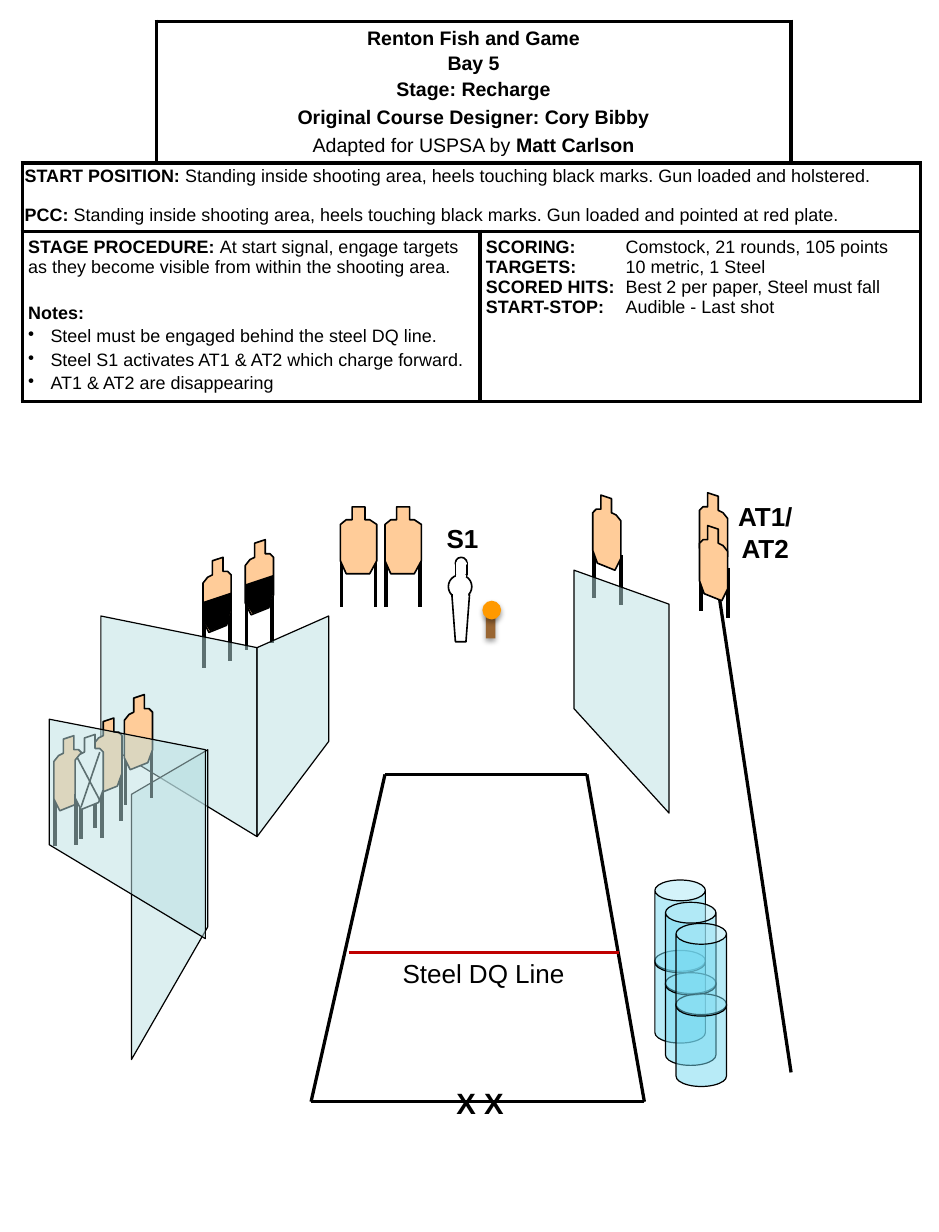
from lxml.etree import SubElement
from pptx import Presentation
from pptx.dml.color import RGBColor
from pptx.enum.shapes import MSO_CONNECTOR, MSO_SHAPE
from pptx.enum.text import MSO_ANCHOR, PP_ALIGN
from pptx.oxml import parse_xml
from pptx.oxml.ns import nsdecls, qn
from pptx.util import Pt

PX = 9144
BLACK = RGBColor(0x00, 0x00, 0x00)
WHITE = RGBColor(0xFF, 0xFF, 0xFF)
CARDBOARD = RGBColor(0xFF, 0xCC, 0x99)
WALL = RGBColor(0xBB, 0xE0, 0xE3)
BARREL = RGBColor(0x73, 0xD9, 0xF1)
RED = RGBColor(0xC0, 0x00, 0x00)
BROWN = RGBColor(0x99, 0x66, 0x33)
ORANGE = RGBColor(0xFF, 0x99, 0x00)

ANGLED = [(8, 3), (17, 0), (17, 12), (21, 12), (24, 15), (24, 47),
          (20, 58), (5, 64), (0, 54), (0, 22), (4, 17), (8, 15)]
HARD_COVER = [(0, 54), (6, 63), (20, 58), (24, 45), (24, 30), (0, 38)]
FACING = [(10, 0), (21, 0), (21, 11), (25, 11), (31, 15), (31, 46),
          (25, 57), (5, 57), (0, 46), (0, 15), (5, 11), (10, 11)]
MIRRORED = [(24 - x, y) for x, y in ANGLED]
ANGLED_POSTS = [(1, 51), (23, 45)]
MIRRORED_POSTS = [(24, 51), (1, 45)]
FACING_POSTS = [(1, 42), (30, 42)]

HEADER = [
    (0, [("Renton Fish and Game", True)]),
    (2.2, [("Bay 5", True)]),
    (2.2, [("Stage: Recharge", True)]),
    (4, [("Original Course Designer: Cory Bibby", True)]),
    (4, [("Adapted for USPSA by", False), (" Matt Carlson", True)]),
]
START = [
    (0, [("START POSITION:", True),
         (" Standing inside shooting area, heels touching black marks. Gun loaded and holstered.", False)]),
    (13, [("PCC:", True),
          (" Standing inside shooting area, heels touching black marks. Gun loaded and pointed at red plate.", False)]),
]
PROCEDURE = [
    (0, [("STAGE PROCEDURE: ", True),
         ("At start signal, engage targets as they become visible from within the shooting area.", False)]),
    (16, [("Notes:", True)]),
]
NOTES = [(2.2, [(note, False)]) for note in (
    "Steel must be engaged behind the steel DQ line.",
    "Steel S1 activates AT1 & AT2 which charge forward.",
    "AT1 & AT2 are disappearing")]
SCORING = [(0, [(label, True), ("\t" + value, False)]) for label, value in (
    ("SCORING:", "Comstock, 21 rounds, 105 points"),
    ("TARGETS:", "10 metric, 1 Steel"),
    ("SCORED HITS:", "Best 2 per paper, Steel must fall"),
    ("START-STOP:", "Audible - Last shot"))]


def style_shape(shape, fill, line=BLACK, width=1, alpha=None):
    """Set the fill, outline and opacity of a shape."""
    shape.shadow.inherit = False
    shape.fill.solid()
    shape.fill.fore_color.rgb = fill
    if alpha:
        color = shape.fill._xPr.find(qn("a:solidFill"))[0]
        SubElement(color, qn("a:alpha"), val=str(alpha * 1000))
    if line is None:
        shape.line.fill.background()
    else:
        shape.line.color.rgb = line
        shape.line.width = Pt(width)


def add_preset(slide, kind, box, fill, line=BLACK, width=1, alpha=None):
    """Add a preset shape in a box of left, top, width, height."""
    shape = slide.shapes.add_shape(kind, *(value * PX for value in box))
    style_shape(shape, fill, line, width, alpha)
    return shape


def add_outline(slide, left, top, points, fill, line=BLACK, width=1, alpha=None):
    """Add a closed polygon whose points are relative to left and top."""
    points = [(left + x, top + y) for x, y in points]
    builder = slide.shapes.build_freeform(*points[0], scale=PX)
    builder.add_line_segments(points[1:], close=True)
    style_shape(builder.convert_to_shape(), fill, line, width, alpha)


def add_line(slide, start, end, width=2, color=BLACK):
    """Add a straight line."""
    connector = slide.shapes.add_connector(
        MSO_CONNECTOR.STRAIGHT, *(value * PX for value in (*start, *end)))
    connector.line.color.rgb = color
    connector.line.width = Pt(width)
    SubElement(connector._element.spPr, qn("a:effectLst"))


def add_label(slide, box, text, size=16, bold=True, align=PP_ALIGN.CENTER):
    """Add a one-paragraph label."""
    frame = slide.shapes.add_textbox(*(value * PX for value in box)).text_frame
    frame.word_wrap = True
    paragraph = frame.paragraphs[0]
    paragraph.text = text
    paragraph.alignment = align
    format_font(paragraph.font, size)
    paragraph.font.bold = bold


def format_font(font, size):
    """Apply the sheet's typeface, size and colour."""
    font.name = "Arial"
    font.size = Pt(size)
    font.color.rgb = BLACK


def write_cell(cell, lines, size=11, margins=(5, 5), align=PP_ALIGN.LEFT,
               spacing=None, tab=None, bullets=()):
    """Fill a table cell with spaced paragraphs of bold and plain runs."""
    cell.margin_left = cell.margin_right = margins[0] * PX
    cell.margin_top = cell.margin_bottom = margins[1] * PX
    frame = cell.text_frame
    for index, (space, runs) in enumerate([*lines, *bullets]):
        paragraph = frame.add_paragraph() if index else frame.paragraphs[0]
        properties = paragraph._p.get_or_add_pPr()
        if index >= len(lines):
            properties.set("marL", str(19 * PX))
            properties.set("indent", str(-19 * PX))
            SubElement(properties, qn("a:buChar"), char="•")
        if tab:
            tabs = SubElement(properties, qn("a:tabLst"))
            SubElement(tabs, qn("a:tab"), pos=str(tab * PX), algn="l")
        paragraph.alignment = align
        paragraph.space_before = Pt(space)
        if spacing:
            paragraph.line_spacing = spacing
        format_font(paragraph.font, size)
        for text, bold in runs:
            run = paragraph.add_run()
            run.text = text
            run.font.bold = bold


def set_borders(cell, sides):
    """Draw the named sides of a cell and clear the others."""
    properties = cell._tc.get_or_add_tcPr()
    for index, side in enumerate("LRTB"):
        fill = '<a:solidFill><a:srgbClr val="000000"/></a:solidFill>' if side in sides else "<a:noFill/>"
        properties.insert(index, parse_xml(
            f'<a:ln{side} {nsdecls("a")} w="28575">{fill}</a:ln{side}>'))


def draw_stage_sheet(slide, left, top):
    """Draw the table of stage details."""
    columns, rows = (114, 276, 265, 110), (121, 58, 145)
    table = slide.shapes.add_table(
        len(rows), len(columns), left * PX, top * PX, sum(columns) * PX, sum(rows) * PX).table
    table.first_row = table.horz_banding = False
    for column, width in zip(table.columns, columns):
        column.width = width * PX
    for row, height in zip(table.rows, rows):
        row.height = height * PX
    corners = {(0, 0): "RB", (0, 3): "LB"}
    for row in range(len(rows)):
        for column in range(len(columns)):
            cell = table.cell(row, column)
            cell.fill.solid()
            cell.fill.fore_color.rgb = WHITE
            set_borders(cell, corners.get((row, column), "LRTB"))
    for row, first, last in ((0, 1, 2), (1, 0, 3), (2, 0, 1), (2, 2, 3)):
        table.cell(row, first).merge(table.cell(row, last))
    write_cell(table.cell(0, 1), HEADER, 12, align=PP_ALIGN.CENTER)
    table.cell(0, 1).vertical_anchor = MSO_ANCHOR.MIDDLE
    write_cell(table.cell(1, 0), START, margins=(2, 4), spacing=0.9)
    write_cell(table.cell(2, 0), PROCEDURE, bullets=NOTES)
    write_cell(table.cell(2, 2), SCORING, tab=119)


def draw_posts(slide, left, top, posts):
    """Draw the two posts that hold a target."""
    for x, y in posts:
        add_line(slide, (left + x, top + y), (left + x, top + y + 43), 2.25)


def draw_target(slide, left, top, body=ANGLED, posts=ANGLED_POSTS, fill=CARDBOARD):
    """Draw a target on its posts."""
    draw_posts(slide, left, top, posts)
    add_outline(slide, left, top, body, fill)


def draw_wall(slide, left, top, points):
    """Draw a see-through wall panel."""
    add_outline(slide, left, top, points, WALL, width=0.75, alpha=50)


def draw_barrel_stack(slide, left, top):
    """Draw two barrels, one on the other."""
    for offset in (60, 0):
        can = add_preset(slide, MSO_SHAPE.CAN, (left, top + offset, 43, 79), BARREL, width=0.75, alpha=50)
        can.adjustments[0] = 0.413


def draw_popper(slide, left, top):
    """Draw the steel popper."""
    oval, bar = MSO_SHAPE.OVAL, MSO_SHAPE.RECTANGLE
    add_preset(slide, oval, (left + 6, top, 10, 10), WHITE)
    add_preset(slide, oval, (left, top + 15, 20, 20), WHITE)
    add_outline(slide, left + 3, top + 32, [(0, 0), (15, 0), (12, 40), (3, 40)], WHITE)
    add_preset(slide, bar, (left + 6, top + 5, 10, 10), WHITE)
    add_preset(slide, bar, (left + 4, top + 31, 13, 2), WHITE, None)
    add_preset(slide, bar, (left + 7, top + 15, 7, 2), WHITE, WHITE)
    add_preset(slide, bar, (left + 7, top + 5, 8, 1), WHITE, WHITE)


def draw_plate(slide, left, top):
    """Draw the round plate on its stand."""
    for kind, box, fill in ((MSO_SHAPE.RECTANGLE, (left + 3, top + 10, 8, 22), BROWN),
                            (MSO_SHAPE.OVAL, (left, top, 16, 16), ORANGE)):
        shape = add_preset(slide, kind, box, fill, None)
        effects = shape._element.spPr.find(qn("a:effectLst"))
        shadow = SubElement(effects, qn("a:outerShdw"), blurRad="39370", dist="22860", dir="5400000")
        color = SubElement(shadow, qn("a:srgbClr"), val="000000")
        SubElement(color, qn("a:alpha"), val="35000")


def draw_shooting_area(slide, left, top):
    """Draw the shooting area with its start marks and steel line."""
    corners = [(left + x, top + y) for x, y in ((0, 279), (63, 0), (235, 0), (284, 279))]
    for start, end in zip(corners, corners[1:] + corners[:1]):
        add_line(slide, start, end)
    add_line(slide, (left + 32, top + 152), (left + 262, top + 152), color=RED)
    add_label(slide, (left + 32, top + 151, 230, 37), "Steel DQ Line", bold=False)
    add_label(slide, (left + 114, top + 260, 69, 40), "X X", 18, align=PP_ALIGN.LEFT)


def draw_left_side(slide, left, top):
    """Draw the targets and walls on the left."""
    for x, y in ((left + 131, top + 15), (left + 167, top)):
        draw_target(slide, x, y)
        add_outline(slide, x, y, HARD_COVER, BLACK, None)
    draw_wall(slide, left + 44, top + 65, [(0, 107), (133, 188), (133, 27), (0, 0)])
    draw_wall(slide, left + 177, top + 65, [(61, 107), (0, 188), (0, 27), (61, 0)])
    draw_target(slide, left + 4, top + 167)
    draw_wall(slide, left + 70, top + 179, [(65, 151), (0, 264), (0, 38), (65, 0)])
    draw_target(slide, left + 38, top + 152)
    draw_target(slide, left + 64, top + 132)
    x, y = left + 22, top + 166
    draw_target(slide, x, y, fill=WHITE)
    add_line(slide, (x + 2, y + 20), (x + 21, y + 56), 1)
    add_line(slide, (x + 21, y + 15), (x + 5, y + 62), 1)
    draw_wall(slide, left, top + 153, [(0, 107), (133, 187), (133, 26), (0, 0)])


def draw_right_side(slide, left, top):
    """Draw the targets, wall, barrels and boundary on the right."""
    draw_target(slide, left + 16, top + 2, MIRRORED, MIRRORED_POSTS)
    draw_wall(slide, left, top + 66, [(0, 118), (81, 207), (81, 29), (0, 0)])
    add_line(slide, (left + 185, top + 494), (left + 119, top + 57))
    draw_posts(slide, left + 107, top + 13, MIRRORED_POSTS)
    for offset in (0, 28):
        add_outline(slide, left + 107, top + offset, MIRRORED, CARDBOARD)
    add_label(slide, (left + 127, top + 2, 72, 64), "AT1/AT2")
    for x, y in ((69, 330), (78, 349), (87, 367)):
        draw_barrel_stack(slide, left + x, top + y)


def draw_center(slide, left, top):
    """Draw the facing targets and the steel."""
    for offset in (38, 0):
        draw_target(slide, left + offset, top, FACING, FACING_POSTS)
    draw_popper(slide, left + 92, top + 43)
    draw_plate(slide, left + 121, top + 80)
    add_label(slide, (left + 68, top + 8, 72, 37), "S1")


def main():
    """Build the stage diagram."""
    presentation = Presentation()
    presentation.slide_width, presentation.slide_height = 800 * PX, 1050 * PX
    slide = presentation.slides.add_slide(presentation.slide_layouts[6])
    draw_stage_sheet(slide, 19, 18)
    draw_left_side(slide, 42, 460)
    draw_center(slide, 290, 432)
    draw_right_side(slide, 489, 420)
    draw_shooting_area(slide, 265, 660)
    presentation.save("out.pptx")


if __name__ == "__main__":
    main()
